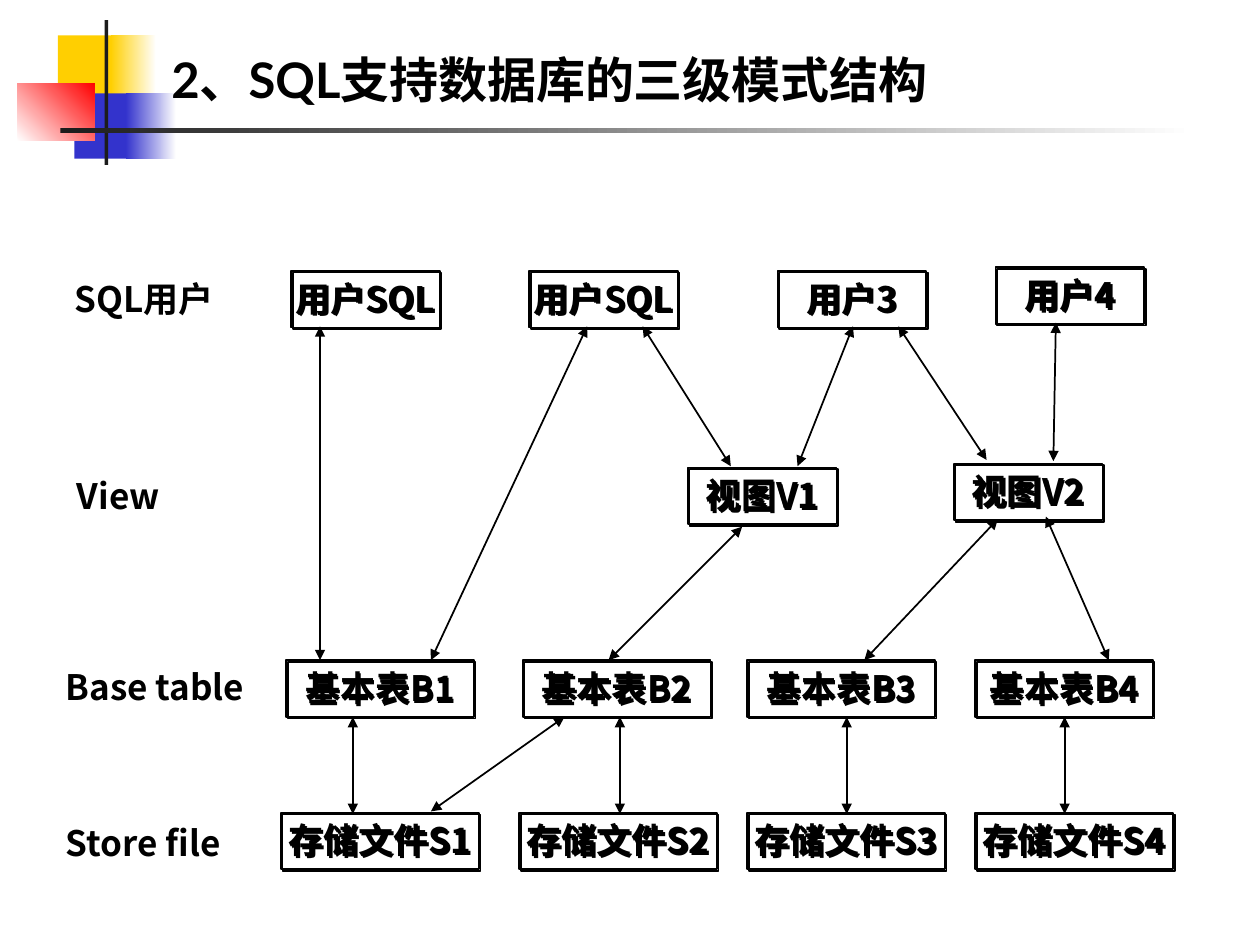
from lxml import etree
from pptx import Presentation
from pptx.dml.color import RGBColor
from pptx.enum import shapes, text
from pptx.oxml import parse_xml
from pptx.oxml.ns import nsdecls, qn
from pptx.util import Inches, Pt

HUES = {"ink": "000000", "gold": "FFCF01", "blue": "3333CC",
        "red": "FF0000", "dark": "1C1C1C", "white": "FFFFFF"}
CJK = "Noto Sans CJK SC"
FRAME = {"word_wrap": False, "auto_size": text.MSO_AUTO_SIZE.NONE,
         "vertical_anchor": text.MSO_ANCHOR.TOP,
         "margin_left": 0, "margin_right": 0,
         "margin_top": Inches(0.05), "margin_bottom": Inches(0.05)}

# Slide decor: left, top, width, height, first hue, last hue, angle
DECOR = [
    (0.46, 0.28, 0.48, 0.52, "gold", None, 0),
    (0.88, 0.28, 0.36, 0.52, "gold", "white", 0),
    (0.59, 0.74, 0.46, 0.52, "blue", None, 0),
    (1, 0.74, 0.4, 0.52, "blue", "white", 0),
    (0.14, 0.66, 0.61, 0.46, "white", "red", 45),
    (0.83, 0.16, 0.03, 1.15, "dark", None, 0),
    (0.48, 1.02, 9, 0.04, "dark", "white", 0),
]
# Row names: text, left, top, width
LABELS = [("SQL用户", 0.59, 2.15, 1.13), ("View", 0.61, 3.72, 0.8),
          ("Base table", 0.52, 5.23, 1.68), ("Store file", 0.52, 6.47, 1.68)]
# Boxes by level: width, then text, left, top
LEVELS = [
    (1.18, [("用户SQL", 2.31, 2.15), ("用户SQL", 4.2, 2.15),
            ("用户3", 6.17, 2.15), ("用户4", 7.9, 2.12)]),
    (1.18, [("视图V1", 5.46, 3.71), ("视图V2", 7.57, 3.68)]),
    (1.49, [("基本表B1", 2.27, 5.24), ("基本表B2", 4.15, 5.24),
            ("基本表B3", 5.93, 5.24)]),
    (1.41, [("基本表B4", 7.74, 5.24)]),
    (1.57, [("存储文件S1", 2.23, 6.45), ("存储文件S2", 4.12, 6.45),
            ("存储文件S3", 5.93, 6.45), ("存储文件S4", 7.74, 6.45)]),
]
# Links between levels: x and y of both ends
LINKS = [
    (2.54, 2.59, 2.54, 5.24), (4.66, 2.59, 3.42, 5.24),
    (5.1, 2.59, 5.8, 3.7), (6.77, 2.59, 6.33, 3.7),
    (7.13, 2.59, 7.83, 3.65), (8.38, 2.56, 8.36, 3.66),
    (5.89, 4.18, 4.83, 5.24), (7.92, 4.12, 6.86, 5.24),
    (8.3, 4.1, 8.8, 5.24), (3.42, 6.44, 4.48, 5.69),
] + [(x, 5.69, x, 6.46) for x in (2.8, 4.92, 6.72, 8.45)]


def rgb(hue):
    return RGBColor.from_string(HUES[hue])


def style(item, values):
    for name, value in values.items():
        setattr(item, name, value)


def shade():
    return parse_xml(
        f'<a:effectLst {nsdecls("a")}><a:outerShdw dist="17780" dir="2700000">'
        f'<a:srgbClr val="{HUES["ink"]}"/></a:outerShdw></a:effectLst>')


def write(shape, words, size=20, face=CJK, align=text.PP_ALIGN.LEFT, **extra):
    frame = shape.text_frame
    style(frame, {**FRAME, **extra})
    para = frame.paragraphs[0]
    para.alignment = align
    run = para.add_run()
    run.text = words
    style(run.font, {"size": Pt(size), "bold": True, "name": face})
    run.font.color.rgb = rgb("ink")
    east = etree.SubElement(run.font._element, qn("a:ea"))
    east.set("typeface", CJK)
    return run


def add_block(slide, left, top, width, height, first, last, angle):
    block = slide.shapes.add_shape(
        shapes.MSO_SHAPE.RECTANGLE, *map(Inches, (left, top, width, height)))
    block.shadow.inherit = False
    block.line.fill.background()
    if last is None:
        block.fill.solid()
        block.fill.fore_color.rgb = rgb(first)
        return
    block.fill.gradient()
    block.fill.gradient_angle = angle
    for stop, hue in zip(block.fill.gradient_stops, (first, last)):
        stop.color.rgb = rgb(hue)


def add_label(slide, words, left, top, width):
    label = slide.shapes.add_textbox(*map(Inches, (left, top, width, 0.44)))
    run = write(label, words, word_wrap=True)
    run.font._element.find(qn("a:solidFill")).addnext(shade())


def add_box(slide, words, left, top, width):
    box = slide.shapes.add_shape(
        shapes.MSO_SHAPE.RECTANGLE, *map(Inches, (left, top, width, 0.45)))
    box.fill.background()
    box.line.color.rgb = rgb("ink")
    box.line.width = Pt(1)
    box._element.spPr.append(shade())
    write(box, words, align=text.PP_ALIGN.CENTER)


def add_link(slide, ends):
    link = slide.shapes.add_connector(
        shapes.MSO_CONNECTOR.STRAIGHT, *map(Inches, ends))
    link.line.color.rgb = rgb("ink")
    link.line.width = Pt(1)
    line = link.line._get_or_add_ln()
    for end in ("a:headEnd", "a:tailEnd"):
        etree.SubElement(line, qn(end)).set("type", "triangle")
    etree.SubElement(link._element.spPr, qn("a:effectLst"))


def add_title(slide, words):
    title = slide.shapes.title
    style(title, {"left": Inches(1.26), "top": Inches(0.23),
                  "width": Inches(8.52), "height": Inches(0.68)})
    write(title, words, 28, "Lato", word_wrap=True,
          vertical_anchor=text.MSO_ANCHOR.BOTTOM,
          margin_left=Inches(0.1), margin_right=Inches(0.1))
    slide.shapes._spTree.append(title._element)  # in front of the decor


def main():
    deck = Presentation()
    style(deck, {"slide_width": Inches(10), "slide_height": Inches(7.5)})
    slide = deck.slides.add_slide(deck.slide_layouts[5])
    for block in DECOR:
        add_block(slide, *block)
    for label in LABELS:
        add_label(slide, *label)
    for width, boxes in LEVELS:
        for box in boxes:
            add_box(slide, *box, width)
    for ends in LINKS:
        add_link(slide, ends)
    add_title(slide, "2、SQL支持数据库的三级模式结构")
    deck.save("out.pptx")


if __name__ == "__main__":
    main()
